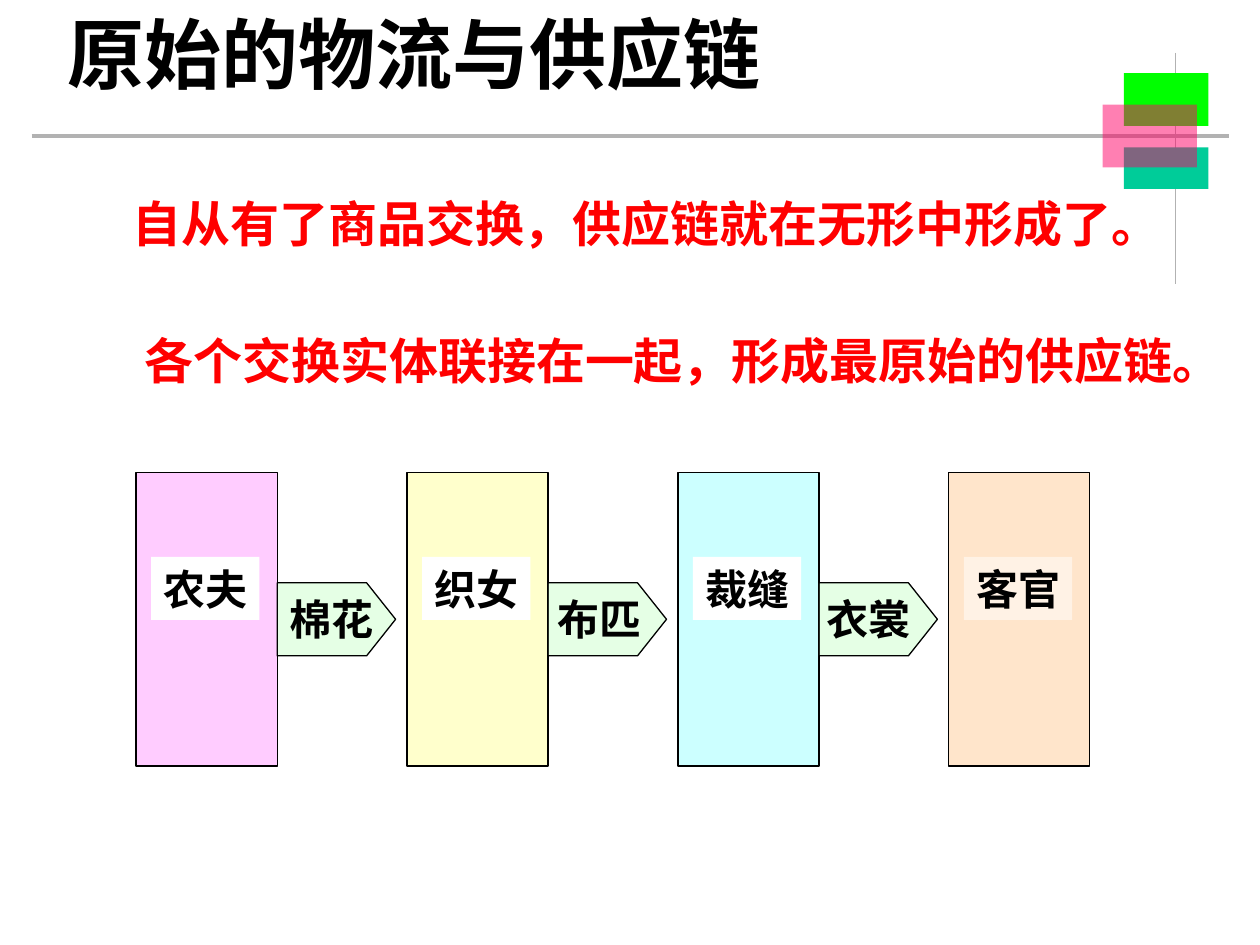
from lxml.etree import SubElement
from pptx import Presentation
from pptx.dml.color import RGBColor
from pptx.enum.shapes import MSO_CONNECTOR, MSO_SHAPE
from pptx.enum.text import MSO_ANCHOR, PP_ALIGN
from pptx.oxml.ns import qn
from pptx.util import Inches, Pt

# Content
TITLE = "原始的物流与供应链"
STATEMENTS = [  # text, left, top, width
    ("自从有了商品交换，供应链就在无形中形成了。", 0.93, 1.25, 8.4),
    ("各个交换实体联接在一起，形成最原始的供应链。", 0.84, 2.34, 9.16),
]
ENTITIES = [  # name, fill, opacity of the panel, opacity of the name plate
    ("农夫", "FFCCFF", 100, 100),
    ("织女", "FFFFCC", 100, 100),
    ("裁缝", "CCFFFF", 100, 100),
    ("客官", "FFCC99", 50, 50),
]
GOODS = ["棉花", "布匹", "衣裳"]
RULES = [  # start, end, line width
    ((0.25, 1.08), (9.75, 1.08), 2.25),
    ((9.33, 0.42), (9.33, 2.25), 0.75),
]
ORNAMENTS = [  # left, top, width, height, fill, opacity
    (8.92, 0.58, 0.67, 0.42, "00FF00", 100),
    (8.92, 1.17, 0.67, 0.33, "00CC99", 100),
    (8.75, 0.83, 0.75, 0.5, "FF0066", 50),
]

# Chain grid
CHAIN_LEFT, CHAIN_TOP, STEP = 1.08, 3.75, 2.15
PANEL_W, PANEL_H = 1.12, 2.33
PLATE_W, PLATE_H = 0.86, 0.5
ARROW_W, ARROW_H, ARROW_HEAD = 0.94, 0.58, 0.23

deck = Presentation()
deck.slide_width, deck.slide_height = Inches(10), Inches(7.5)
page = deck.slides.add_slide(deck.slide_layouts[6])


def color(code):
    return RGBColor.from_string(code)


def paint(shape, fill, opacity=100, outline=None):
    shape.shadow.inherit = False
    shape.fill.solid()
    shape.fill.fore_color.rgb = color(fill)
    if opacity < 100:
        tint = shape.fill._xPr.find(qn("a:solidFill"))[0]
        SubElement(tint, qn("a:alpha"), val=str(opacity * 1000))
    if outline:
        shape.line.color.rgb = color(outline)
        shape.line.width = Pt(0.75)
    else:
        shape.line.fill.background()


def add_rect(left, top, width, height, fill, opacity=100, outline=None):
    rect = page.shapes.add_shape(MSO_SHAPE.RECTANGLE, *map(Inches, (left, top, width, height)))
    paint(rect, fill, opacity, outline)
    return rect


def add_box(left, top, width, height):
    return page.shapes.add_textbox(*map(Inches, (left, top, width, height)))


def write(box, text, size, ink="000000", face="Times New Roman",
          align=PP_ALIGN.CENTER, spacing=None):
    frame = box.text_frame
    frame.word_wrap = True
    frame.vertical_anchor = MSO_ANCHOR.TOP
    para = frame.paragraphs[0]
    para.text = text
    para.alignment = align
    if spacing:
        para.line_spacing = spacing
    para.font.name, para.font.size, para.font.bold = face, Pt(size), True
    para.font.color.rgb = color(ink)


def write_label(box, text):
    # A narrow right margin keeps both characters on one line
    box.text_frame.margin_right = Inches(0.02)
    write(box, text, 24, align=PP_ALIGN.LEFT)


# Rules and corner ornament
for start, end, width in RULES:
    rule = page.shapes.add_connector(MSO_CONNECTOR.STRAIGHT, *map(Inches, start + end))
    rule.line.color.rgb = color("B2B2B2")
    rule.line.width = Pt(width)
    SubElement(rule._element.spPr, qn("a:effectLst"))
for ornament in ORNAMENTS:
    add_rect(*ornament)

# Title and statements
write(add_box(0.25, 0, 6.08, 0.75), TITLE, 44, face="Arial")
for text, left, top, width in STATEMENTS:
    write(add_box(left, top, width, 0.8), text, 28, "FF0000", spacing=1.5)

# Entities: a panel with a name plate
for i, (name, fill, panel_opacity, plate_opacity) in enumerate(ENTITIES):
    left = CHAIN_LEFT + i * STEP
    add_rect(left, CHAIN_TOP, PANEL_W, PANEL_H, fill, panel_opacity, "000000")
    plate = add_rect(left + 0.12, CHAIN_TOP + 0.67, PLATE_W, PLATE_H, "FFFFFF", plate_opacity)
    write_label(plate, name)

# Goods: an arrow from each entity towards the next
middle = CHAIN_TOP + PANEL_H / 2
top, bottom = middle - ARROW_H / 2, middle + ARROW_H / 2
for i, good in enumerate(GOODS):
    left = CHAIN_LEFT + PANEL_W + i * STEP
    tip = left + ARROW_W
    neck = tip - ARROW_HEAD
    outline = page.shapes.build_freeform(Inches(left), Inches(top))
    outline.add_line_segments([(Inches(x), Inches(y)) for x, y in
                               [(neck, top), (tip, middle), (neck, bottom), (left, bottom)]])
    paint(outline.convert_to_shape(), "CCFFCC", 50, "000000")
    write_label(add_box(left - 0.02 * i, middle - PLATE_H / 2, PLATE_W, PLATE_H), good)

deck.save("out.pptx")
